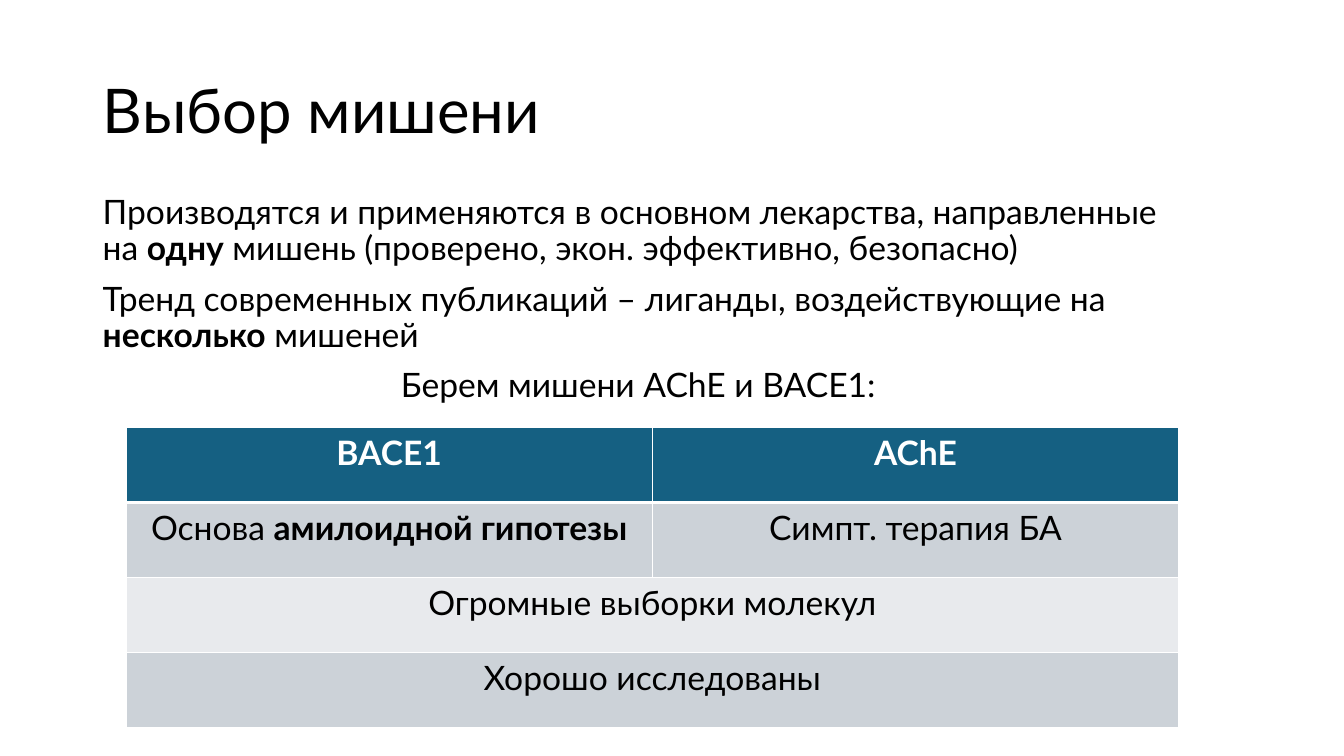
from lxml import etree
from pptx import Presentation
from pptx import util as u
from pptx.dml import color
from pptx.enum import text
from pptx.oxml import ns


def paint(target, value):
    target.rgb = color.RGBColor.from_string(value)


def write(paragraph, content, size=24, ink="000000", bold=False, font="Lato",
          align=text.PP_ALIGN.LEFT, line=None, before=0):
    paragraph.alignment = align
    paragraph.line_spacing = line
    paragraph.space_before = u.Pt(before)
    for index, part in enumerate(content.split("*")):
        run = paragraph.add_run()
        run.text = part
        run.font.name = font
        run.font.size = u.Pt(size)
        run.font.bold = bold or index % 2 == 1
        paint(run.font.color, ink)


class Deck:
    header_fill = "156082"
    band_fills = ["CCD2D8", "E8EAED"]
    white = "FFFFFF"

    def __init__(self):
        self.presentation = Presentation()
        self.presentation.slide_width = u.Inches(13.33)
        self.presentation.slide_height = u.Inches(7.5)
        self.slide = None

    def add_slide(self):
        layout = self.presentation.slide_layouts.get_by_name("Title Only")
        self.slide = self.presentation.slides.add_slide(layout)

    def title(self, content, left, top, width, height):
        shape = self.slide.shapes.title
        shape.left, shape.top = u.Inches(left), u.Inches(top)
        shape.width, shape.height = u.Inches(width), u.Inches(height)
        shape.text_frame.vertical_anchor = text.MSO_ANCHOR.MIDDLE
        write(shape.text_frame.paragraphs[0], content, size=44, line=0.9)

    def body(self, items, left, top, width, height):
        shape = self.slide.shapes.add_textbox(
            u.Inches(left), u.Inches(top), u.Inches(width), u.Inches(height))
        frame = shape.text_frame
        frame.word_wrap = True
        for index, (content, align) in enumerate(items):
            paragraph = frame.add_paragraph() if index else frame.paragraphs[0]
            write(paragraph, content, align=align, line=0.9, before=10)

    def border(self, cell, side, width):
        properties = cell._tc.get_or_add_tcPr()
        edge = etree.SubElement(properties, ns.qn(f"a:ln{side}"), w=str(u.Pt(width)))
        fill = etree.SubElement(edge, ns.qn("a:solidFill"))
        etree.SubElement(fill, ns.qn("a:srgbClr"), val=self.white)

    def table(self, rows, left, top, width, height):
        columns = max(len(row) for row in rows)
        table = self.slide.shapes.add_table(
            len(rows), columns, u.Inches(left), u.Inches(top),
            u.Inches(width), u.Inches(height)).table
        for row_index, row in enumerate(rows):
            header = row_index == 0
            fill = self.header_fill if header else self.band_fills[(row_index - 1) % 2]
            for column in range(columns):
                cell = table.cell(row_index, column)
                for side in "LRTB":
                    thick = (header and side == "B") or (row_index == 1 and side == "T")
                    self.border(cell, side, 3 if thick else 1)
                cell.fill.solid()
                paint(cell.fill.fore_color, fill)
            if len(row) < columns:
                table.cell(row_index, 0).merge(table.cell(row_index, columns - 1))
            for column, content in enumerate(row):
                write(table.cell(row_index, column).text_frame.paragraphs[0], content,
                      ink=self.white if header else "000000", bold=header,
                      align=text.PP_ALIGN.CENTER)


def main():
    deck = Deck()
    deck.add_slide()
    deck.title("Выбор мишени", 0.92, 0.4, 11.5, 1.45)
    deck.body([
        ("Производятся и применяются в основном лекарства, направленные на *одну* "
         "мишень (проверено, экон. эффективно, безопасно)", text.PP_ALIGN.LEFT),
        ("Тренд современных публикаций – лиганды, воздействующие на *несколько* мишеней",
         text.PP_ALIGN.LEFT),
        ("Берем мишени AChE и BACE1:", text.PP_ALIGN.CENTER),
    ], 0.92, 1.89, 10.82, 2.59)
    deck.table([
        ["BACE1", "AChE"],
        ["Основа *амилоидной гипотезы*", "Симпт. терапия БА"],
        ["Огромные выборки молекул"],
        ["Хорошо исследованы"],
    ], 1.25, 4.24, 10.44, 2.98)
    deck.presentation.save("out.pptx")


if __name__ == "__main__":
    main()
